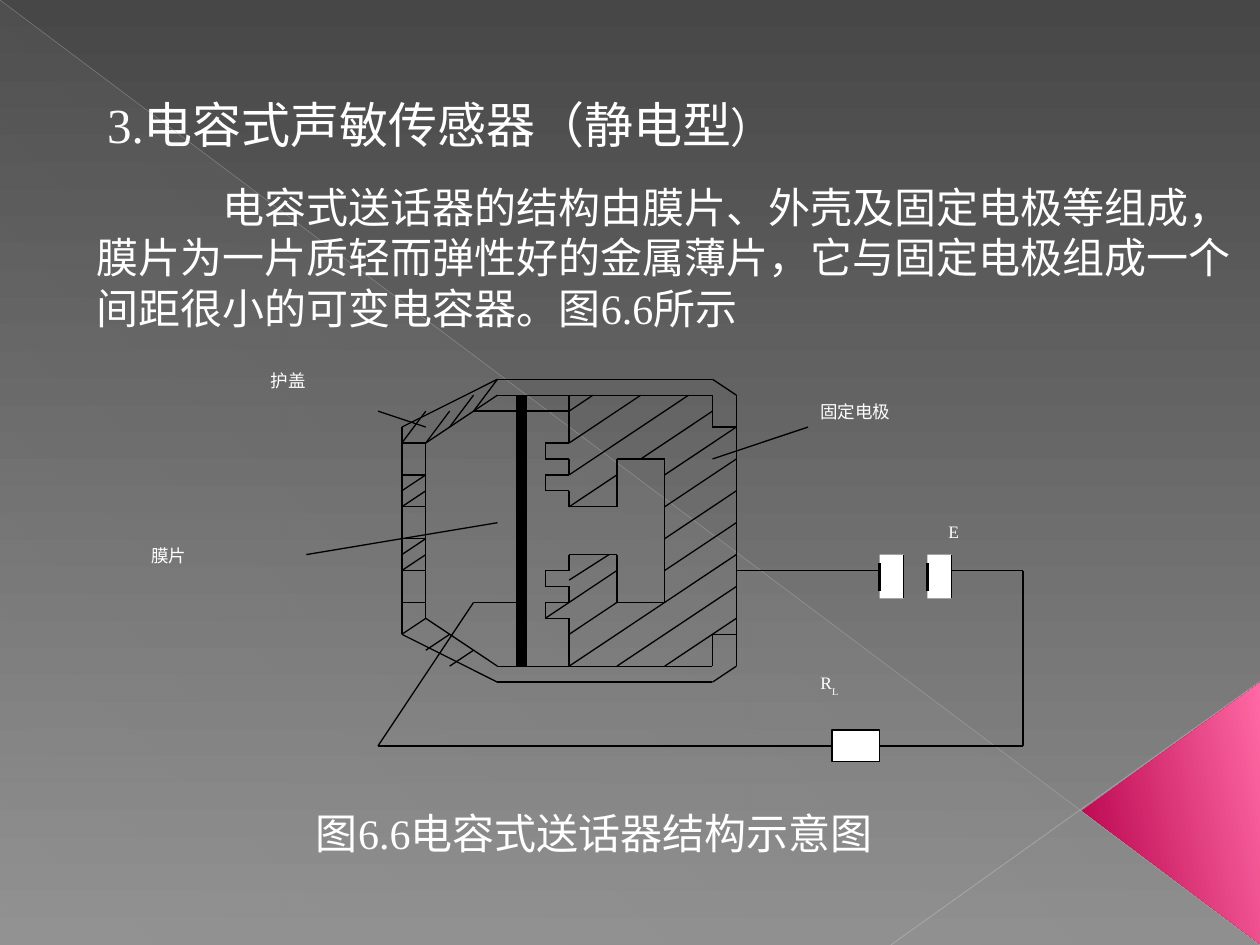
from lxml import etree
from pptx import Presentation
from pptx.dml.color import RGBColor
from pptx.enum.shapes import MSO_CONNECTOR, MSO_SHAPE
from pptx.enum.text import MSO_ANCHOR, PP_ALIGN
from pptx.oxml.ns import qn
from pptx.util import Inches, Pt

STRAIGHT = MSO_CONNECTOR.STRAIGHT
RECTANGLE = MSO_SHAPE.RECTANGLE
TRIANGLE = MSO_SHAPE.ISOSCELES_TRIANGLE
RIGHT_TRIANGLE = MSO_SHAPE.RIGHT_TRIANGLE
TOP = MSO_ANCHOR.TOP
LEFT = PP_ALIGN.LEFT

BLACK = RGBColor(0x00, 0x00, 0x00)
WHITE = RGBColor(0xFF, 0xFF, 0xFF)
DARK_GREY = RGBColor(0x47, 0x47, 0x47)
MID_GREY = RGBColor(0x8C, 0x8C, 0x8C)
PALE_GREY = RGBColor(0xD2, 0xD2, 0xD2)
RULE_GREY = RGBColor(0xBF, 0xBF, 0xBF)
RULE_SILVER = RGBColor(0xC6, 0xC6, 0xC6)
CRIMSON = RGBColor(0xB6, 0x00, 0x4A)
PINK = RGBColor(0xFF, 0x69, 0xA4)
FONT = "Times New Roman"

COLUMNS, ROWS = 27, 23
HOUSING = [
    [(1, 3), (5, 0), (14, 0), (15, 1), (15, 18), (14, 19), (5, 19), (1, 16), (1, 3)],
    [(2, 4), (5, 1), (14, 1), (14, 3), (15, 3)],
    [(2, 4), (2, 15), (5, 18), (14, 18), (14, 16), (15, 16)],
    [(4, 2), (8, 2)],
] + [[(1, row), (2, row)] for row in (4, 6, 8, 10, 12, 14)]
ELECTRODE = [
    [(8, 1), (8, 4), (7, 4), (7, 5), (8, 5), (8, 6), (7, 6), (7, 7), (8, 7),
     (8, 8), (10, 8), (10, 5), (12, 5), (12, 14), (10, 14), (10, 11), (8, 11),
     (8, 12), (7, 12), (7, 13), (8, 13), (8, 14), (7, 14), (7, 15), (8, 15), (8, 18)],
]
COVER_HATCHING = [
    [(5, 0), (4, 2)], [(4, 1), (3, 3)], [(3, 2), (2, 4)], [(2, 2), (1, 4)],
    [(3, 16), (2, 17)], [(4, 17), (3, 18)],
] + [[(2, row), (1, row + 1)] for row in (6, 7, 10, 11, 15)]
ELECTRODE_HATCHING = [
    [(9, 1), (8, 2)], [(11, 1), (8, 4)], [(13, 1), (8, 6)], [(14, 2), (11, 5)],
    [(10, 6), (8, 8)], [(10, 12), (7, 15)], [(10, 14), (8, 16)], [(9.67, 11), (8, 12.6)],
    [(15, 11), (8, 18)], [(15, 13), (10, 18)], [(15, 15), (12, 18)],
] + [[(15, row), (12, row + 3)] for row in (3, 5, 7, 9)]
WIRES = [
    [(6, 14), (4, 14), (0, 23)],
    [(15, 12), (21, 12)],
    [(24, 12), (27, 12), (27, 23)],
]
LEADERS = [[(14, 5), (18, 3)], [(5, 9), (-3, 11)], [(2, 3), (0, 2)]]
LABELS = [
    (18, 18, 6, [("R", None), ("L", "-30000")]),
    (23.35, 8.5, 6, [("E", None)]),
    (18, 1, 10, [("固定电极", None)]),
    (-5, -1, 10, [("护盖", None)]),
    (-10, 10, 10, [("膜片", None)]),
]


def set_alpha(element, percents):
    """Give each RGB colour inside an element its opacity in percent."""
    for color, percent in zip(list(element.iter(qn("a:srgbClr"))), percents):
        etree.SubElement(color, qn("a:alpha"), val=str(percent * 1000))


def set_gradient(fill, start, end, angle):
    """Apply a two-colour linear gradient, angle counter-clockwise."""
    fill.gradient()
    fill.gradient_angle = angle
    for stop, color, position in zip(fill.gradient_stops, (start, end), (0, 1)):
        stop.color.rgb = color
        stop.position = position


def add_line(slide, start, end, color=BLACK, width=0.75):
    """Draw a straight line without shadow between two points."""
    line = slide.shapes.add_connector(STRAIGHT, *start, *end)
    line.line.color.rgb = color
    line.line.width = Pt(width)
    etree.SubElement(line._element.spPr, qn("a:effectLst"))
    return line


def add_box(slide, kind, left, top, width, height):
    """Add a preset shape without shadow or outline."""
    shape = slide.shapes.add_shape(kind, left, top, width, height)
    shape.shadow.inherit = False
    shape.line.fill.background()
    return shape


def add_run(paragraph, text, size):
    """Append a white run to a paragraph."""
    run = paragraph.add_run()
    run.text = text
    run.font.name = FONT
    run.font.size = Pt(size)
    run.font.color.rgb = WHITE
    return run


def add_text(slide, left, top, width, height, wrap=True):
    """Add a text box and return its first paragraph."""
    frame = slide.shapes.add_textbox(left, top, width, height).text_frame
    frame.word_wrap = wrap
    return frame.paragraphs[0]


def add_backdrop(slide, width, height):
    """Draw the background gradient, the diagonals and the pink corner."""
    set_gradient(slide.background.fill, DARK_GREY, MID_GREY, 270)
    veil = add_box(slide, RIGHT_TRIANGLE, 0, 0, width, height)
    set_gradient(veil.fill, PALE_GREY, PALE_GREY, 227)
    set_alpha(veil._element.spPr, (1, 10))
    falling = add_line(slide, (0, 0), (width, height), RULE_GREY, 0.4)
    set_alpha(falling._element, (35,))
    rising = add_line(slide, (width, Inches(5.41)), (Inches(7.07), height), RULE_SILVER, 0.48)
    set_alpha(rising._element, (45,))
    corner = add_box(slide, TRIANGLE, Inches(8.26), Inches(5.75), Inches(2.07), Inches(1.41))
    corner.rotation = 270
    corner.adjustments[0] = 0.51
    set_gradient(corner.fill, CRIMSON, PINK, 12)
    corner._element.spPr.find(qn("a:gradFill")).set("rotWithShape", "0")


def add_title(slide, left, top, width, height):
    """Place and fill the title placeholder."""
    title = slide.shapes.title
    title.left, title.top, title.width, title.height = left, top, width, height
    frame = title.text_frame
    frame.word_wrap = False
    frame.vertical_anchor = TOP
    paragraph = frame.paragraphs[0]
    paragraph.alignment = LEFT
    add_run(paragraph, "3.电容式声敏传感器（静电型", 28)
    add_run(paragraph, "）", 24)


def add_body(slide, left, top, width, height):
    """Add the explanatory paragraph, its first line set in by a tab."""
    paragraph = add_text(slide, left, top, width, height)
    tabs = etree.SubElement(paragraph._p.get_or_add_pPr(), qn("a:tabLst"))
    etree.SubElement(tabs, qn("a:tab"), pos=str(Inches(1)), algn="l")
    add_run(paragraph, "\t电容式送话器的结构由膜片、外壳及固定电极等组成，膜片为一片质轻而弹性好的"
            "金属薄片，它与固定电极组成一个间距很小的可变电容器。图6.6所示", 24)


def add_diagram(slide, left, top, width, height):
    """Draw the microphone section and its circuit on a regular grid."""
    def point(column, row):
        """Convert grid coordinates to a slide position."""
        return round(left + width * column / COLUMNS), round(top + height * row / ROWS)

    def grid_box(column, row, columns, rows):
        """Add a white rectangle measured in grid steps."""
        size = round(width * columns / COLUMNS), round(height * rows / ROWS)
        box = add_box(slide, RECTANGLE, *point(column, row), *size)
        box.fill.solid()
        box.fill.fore_color.rgb = WHITE
        return box

    for chain in HOUSING + ELECTRODE + COVER_HATCHING + ELECTRODE_HATCHING + WIRES + LEADERS:
        for start, end in zip(chain, chain[1:]):
            add_line(slide, point(*start), point(*end))
    add_line(slide, point(6, 1), point(6, 18), width=6)

    resistor = grid_box(19, 22, 2, 2)
    resistor.line.color.rgb = BLACK
    resistor.line.width = Pt(0.75)
    add_line(slide, point(0, 23), point(19, 23)).end_connect(resistor, 1)
    add_line(slide, point(21, 23), point(27, 23)).begin_connect(resistor, 3)

    for column in (21, 23):
        grid_box(column, 11, 1, 2.75)
        add_line(slide, point(column, 13.3), point(column, 11.5), width=1.5)
        add_line(slide, point(column + 1, 13.75), point(column + 1, 11))

    for column, row, columns, runs in LABELS:
        label_width = round(width * columns / COLUMNS)
        paragraph = add_text(slide, *point(column, row), label_width, Inches(0.38))
        for text, baseline in runs:
            run = add_run(paragraph, text, 10)
            if baseline:
                run._r.get_or_add_rPr().set("baseline", baseline)


def add_caption(slide, left, top, width, height):
    """Add the figure caption."""
    paragraph = add_text(slide, left, top, width, height, wrap=False)
    add_run(paragraph, "图6.6电容式送话器结构示意图", 24)


def main():
    """Build and save the presentation."""
    presentation = Presentation()
    presentation.slide_width = Inches(10)
    presentation.slide_height = Inches(7.5)
    slide = presentation.slides.add_slide(presentation.slide_layouts[5])
    add_backdrop(slide, presentation.slide_width, presentation.slide_height)
    add_title(slide, Inches(0.75), Inches(0.7), Inches(5.58), Inches(0.57))
    add_diagram(slide, Inches(3), Inches(3.01), Inches(5.12), Inches(2.91))
    add_caption(slide, Inches(2.41), Inches(6.36), Inches(4.77), Inches(0.5))
    add_body(slide, Inches(0.67), Inches(1.39), Inches(9.2), Inches(1.7))
    presentation.save("out.pptx")


if __name__ == "__main__":
    main()
